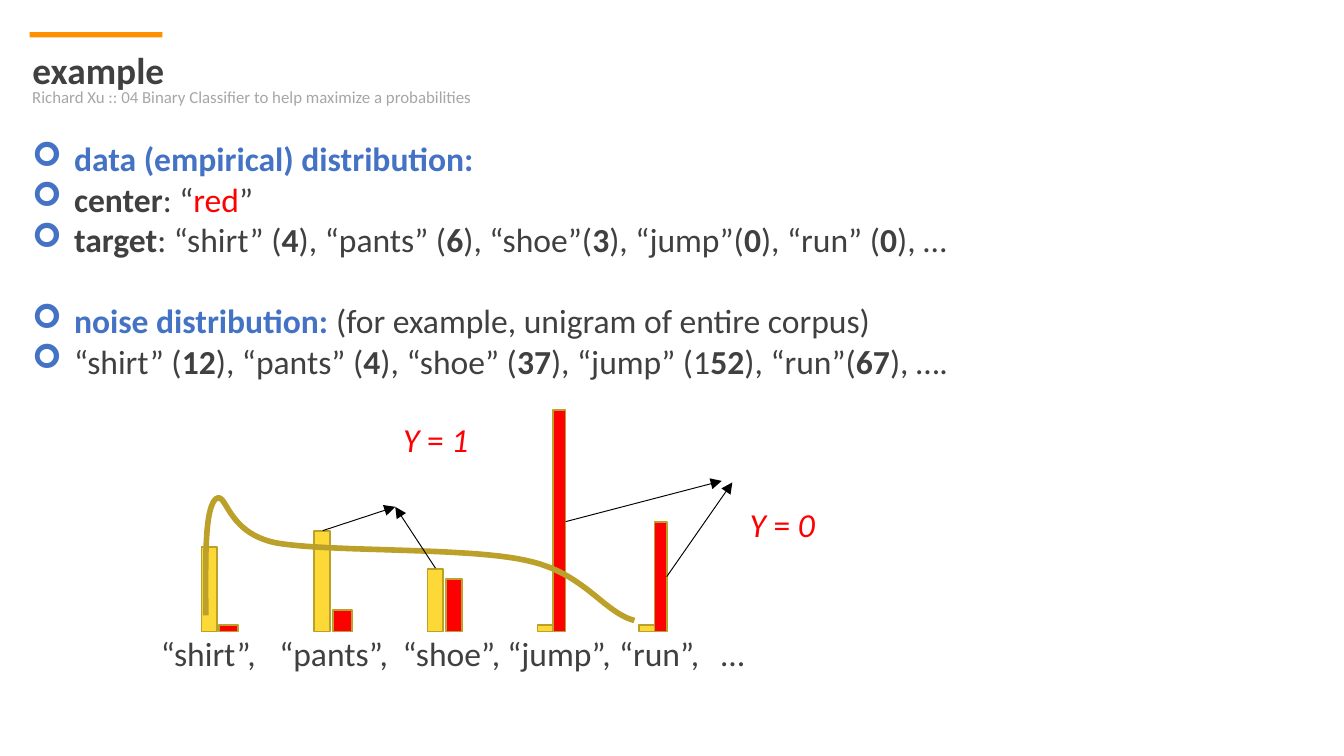
"""Build the slide comparing the data and noise distributions of target words."""
from lxml.etree import SubElement
from pptx import Presentation
from pptx.dml.color import RGBColor
from pptx.enum.shapes import MSO_CONNECTOR, MSO_SHAPE
from pptx.enum.text import MSO_ANCHOR, MSO_AUTO_SIZE, PP_ALIGN
from pptx.oxml.ns import qn
from pptx.util import Cm, Pt

COLORS = {
    "orange": "FF8F00", "blue": "4472C4", "dark": "404040", "gray": "A6A6A6",
    "red": "FF0000", "yellow": "FDD938", "olive": "BBA129", "black": "000000",
}
BASELINE = 11.94
BODY = [
    [("*data (empirical) distribution:*", "blue")],
    [("*center*: “", "dark"), ("red", "red"), ("”", "dark")],
    [("*target*: “shirt” (*4*), “pants” (*6*), “shoe”(*3*), “jump”(*0*), “run” (*0*), …", "dark")],
    [("*noise distribution: *", "blue"), ("(for example, unigram of entire corpus)", "dark")],
    [("“shirt” (*12*), “pants” (*4*), “shoe” (*37*), “jump” (1*52*), “run”(*67*), ….", "dark")],
]
NOISE_ROW = 3
DATA_BARS = [(3.81, 0.3, 1.6), (5.94, 0.3, 1.9), (8.08, 0.3, 1.19), (10.16, 0.3, 0.13), (12.07, 0.3, 0.13)]
NOISE_BARS = [(4.14, 0.36, 0.13), (6.3, 0.36, 0.41), (8.43, 0.3, 0.99), (10.46, 0.23, 4.19), (12.37, 0.23, 2.08)]
CURVE = [
    (3.89, 11.63), (3.89, 10.67), (3.86, 9.7), (4.06, 9.45), (4.29, 9.22), (4.24, 10.06), (5.21, 10.26),
    (6.2, 10.44), (8.79, 10.34), (9.93, 10.59), (11.05, 10.82), (11.38, 11.56), (11.99, 11.73),
]
ARROWS = [
    ((10.69, 9.86), (13.64, 9.09)), ((12.6, 10.9), (13.84, 9.12)),
    ((8.23, 10.74), (7.47, 9.58)), ((6.1, 10.03), (7.47, 9.58)),
]
WORDS = ["“shirt”,", "“pants”,", "“shoe”,", "“jump”,", "“run”,", "…"]
WORD_STOPS = [2.24, 4.57, 6.55, 8.66, 10.59]


def color(name):
    """Return the named colour."""
    return RGBColor.from_string(COLORS[name])


def add_text(para, text, size=18, ink="dark", emphasis="bold"):
    """Append text to a paragraph, emphasising the parts between asterisks."""
    for index, part in enumerate(text.split("*")):
        if part:
            span = para.add_run()
            span.text = part
            span.font.name = "Calibri"
            span.font.size = Pt(size)
            span.font.color.rgb = color(ink)
            setattr(span.font, emphasis, index % 2 == 1)


def add_box(page, left, top, width, height):
    """Add a wrapping text box and return its text frame."""
    frame = page.shapes.add_textbox(Cm(left), Cm(top), Cm(width), Cm(height)).text_frame
    frame.word_wrap = True
    return frame


def add_title(page, text):
    """Place and fill the title placeholder."""
    title = page.shapes.title
    title.left, title.top, title.width, title.height = Cm(0.36), Cm(0.76), Cm(19.43), Cm(1.12)
    frame = title.text_frame
    frame.vertical_anchor = MSO_ANCHOR.TOP
    frame.auto_size = MSO_AUTO_SIZE.NONE
    frame.paragraphs[0].alignment = PP_ALIGN.LEFT
    add_text(frame.paragraphs[0], text, size=20)


def add_bullet(para):
    """Give a paragraph a blue arrow bullet with a hanging indent."""
    props = para._p.get_or_add_pPr()
    props.set("marL", str(Cm(0.79)))
    props.set("indent", str(-Cm(0.79)))
    SubElement(SubElement(props, qn("a:buClr")), qn("a:srgbClr"), val=COLORS["blue"])
    SubElement(props, qn("a:buFont"), typeface="Wingdings")
    SubElement(props, qn("a:buChar"), char="➢")


def add_body(page):
    """Add the bulleted description of both distributions."""
    frame = add_box(page, 0.36, 2.49, 18.34, 8.71)
    for index, spans in enumerate(BODY):
        para = frame.paragraphs[0] if index == 0 else frame.add_paragraph()
        if index == NOISE_ROW:
            para.space_before = Pt(22)
        add_bullet(para)
        for text, ink in spans:
            add_text(para, text, ink=ink)


def add_word_labels(page):
    """Add the words below the bars, aligned by tab stops."""
    para = add_box(page, 2.79, 11.84, 12.12, 1.02).paragraphs[0]
    stops = SubElement(para._p.get_or_add_pPr(), qn("a:tabLst"))
    for stop in WORD_STOPS:
        SubElement(stops, qn("a:tab"), pos=str(Cm(stop)), algn="l")
    add_text(para, "\t".join(WORDS))


def add_bar(page, left, top, width, height, fill, outline=None):
    """Add a filled rectangle with an optional outline."""
    bar = page.shapes.add_shape(MSO_SHAPE.RECTANGLE, Cm(left), Cm(top), Cm(width), Cm(height))
    bar.shadow.inherit = False
    bar.fill.solid()
    bar.fill.fore_color.rgb = color(fill)
    if outline:
        bar.line.color.rgb = color(outline)
        bar.line.width = Pt(1)
    else:
        bar.line.fill.background()


def bezier_point(nodes, t):
    """Return the point at t on a cubic Bezier segment."""
    weights = ((1 - t) ** 3, 3 * t * (1 - t) ** 2, 3 * t ** 2 * (1 - t), t ** 3)
    return tuple(Cm(sum(w * node[axis] for w, node in zip(weights, nodes))) for axis in (0, 1))


def add_curve(page, nodes, steps=24):
    """Draw joined cubic Bezier segments as an open outline."""
    points = [
        bezier_point(nodes[start:start + 4], step / steps)
        for start in range(0, len(nodes) - 1, 3)
        for step in range(1, steps + 1)
    ]
    builder = page.shapes.build_freeform(Cm(nodes[0][0]), Cm(nodes[0][1]))
    builder.add_line_segments(points, close=False)
    curve = builder.convert_to_shape()
    curve.shadow.inherit = False
    curve.fill.background()
    curve.line.color.rgb = color("olive")
    curve.line.width = Pt(3)


def add_arrow(page, start, end):
    """Add a thin black arrow."""
    arrow = page.shapes.add_connector(MSO_CONNECTOR.STRAIGHT, *map(Cm, start + end))
    arrow.line.color.rgb = color("black")
    arrow.line.width = Pt(0.5)
    SubElement(arrow.line._get_or_add_ln(), qn("a:tailEnd"), type="triangle")
    SubElement(arrow._element.spPr, qn("a:effectLst"))


def main():
    """Build and save the deck."""
    deck = Presentation()
    deck.slide_width, deck.slide_height = Cm(25.4), Cm(14.29)
    page = deck.slides.add_slide(deck.slide_layouts[5])
    add_bar(page, 0.56, 0.61, 2.51, 0.1, "orange")
    add_title(page, "*example*")
    subtitle = add_box(page, 0.36, 1.52, 10.64, 0.64).paragraphs[0]
    add_text(subtitle, "Richard Xu :: 04 Binary Classifier to help maximize a probabilities", size=9, ink="gray")
    add_body(page)
    add_word_labels(page)
    for bars, fill in ((DATA_BARS, "yellow"), (NOISE_BARS, "red")):
        for left, width, height in bars:
            add_bar(page, left, BASELINE - height, width, height, fill, outline="olive")
    add_curve(page, CURVE)
    for start, end in ARROWS:
        add_arrow(page, start, end)
    for left, top, text in ((13.92, 9.4, "*Y *=* 0*"), (7.37, 7.8, "*Y *=* 1*")):
        label = add_box(page, left, top, 1.9, 1.02).paragraphs[0]
        add_text(label, text, ink="red", emphasis="italic")
    deck.save("out.pptx")


if __name__ == "__main__":
    main()
